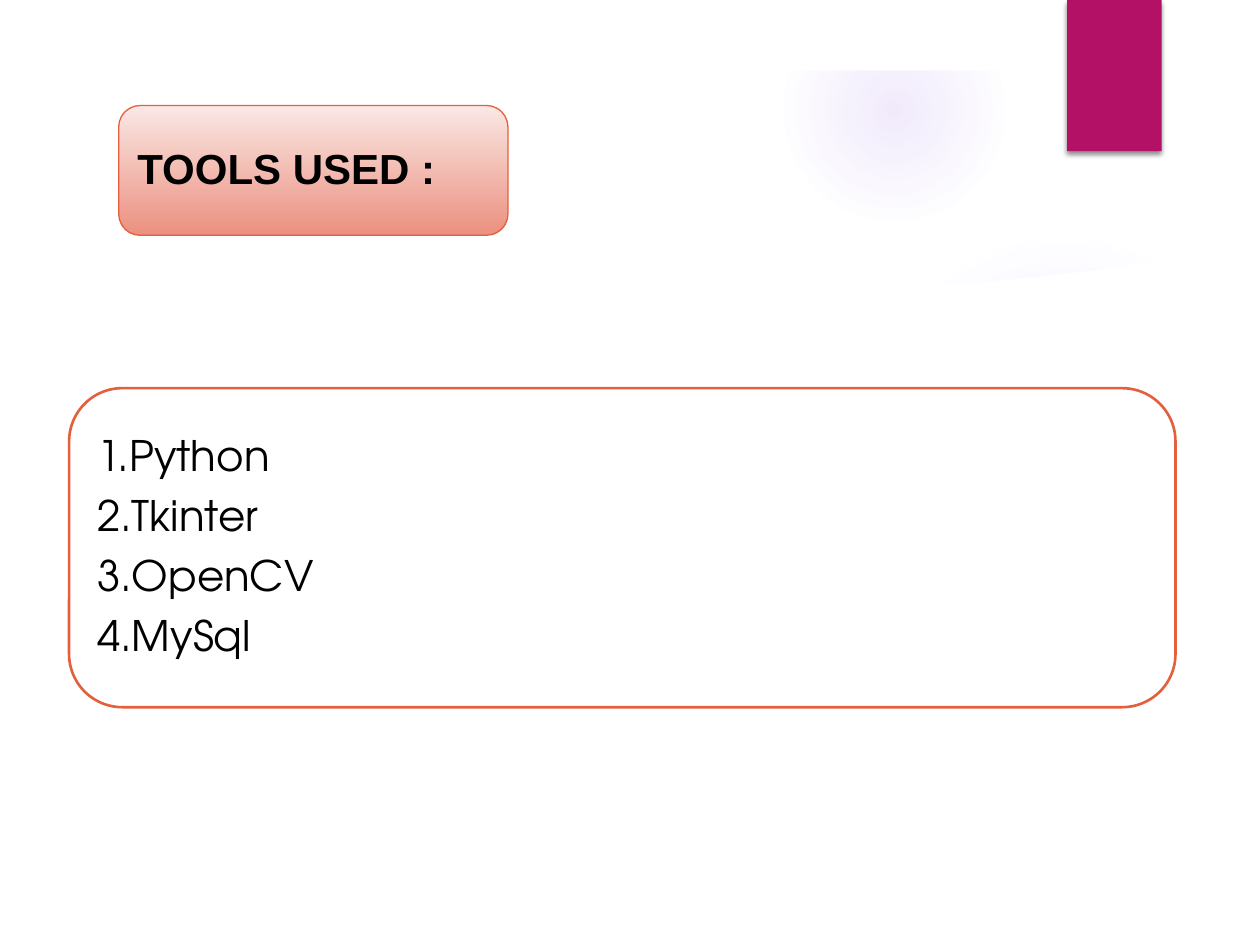
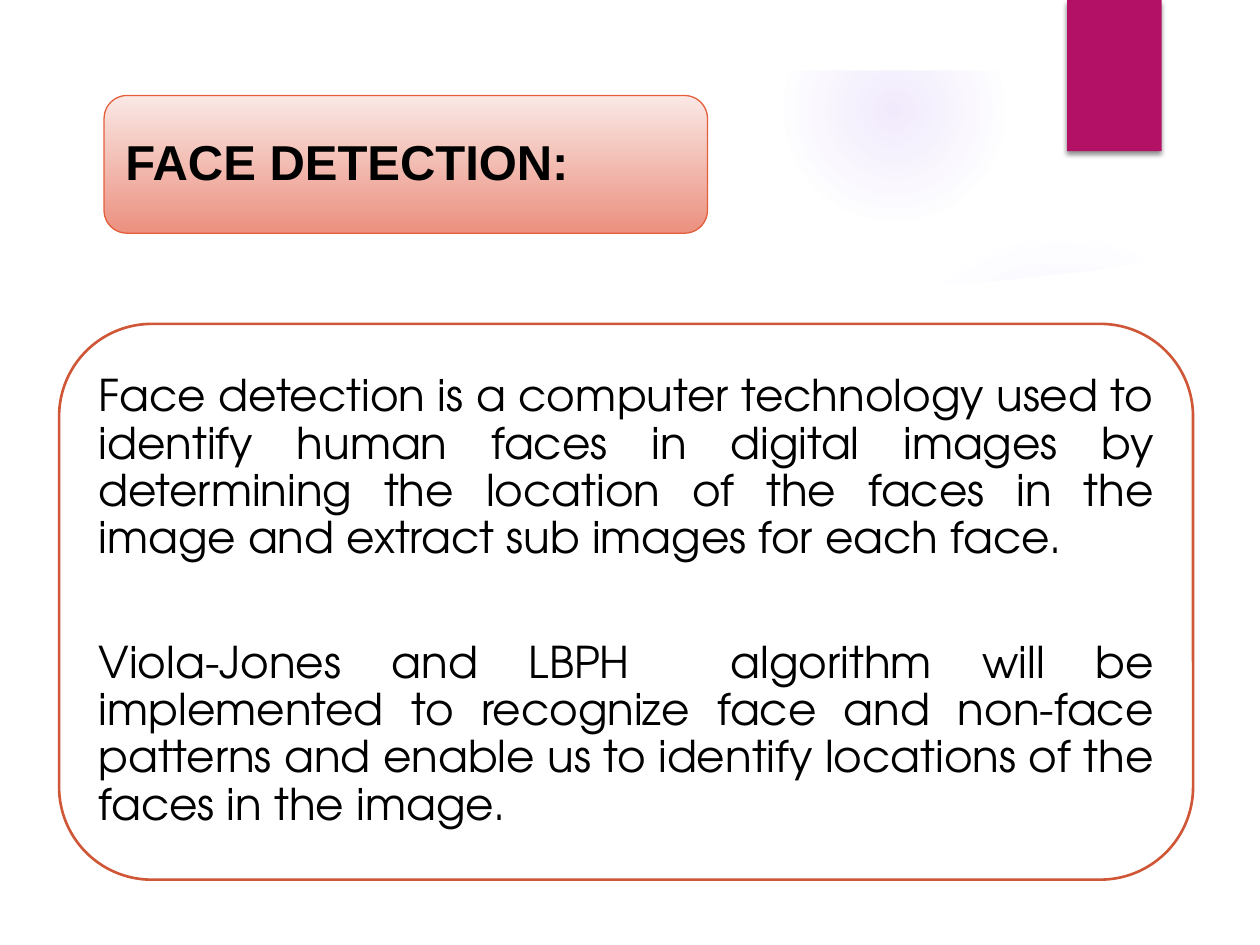
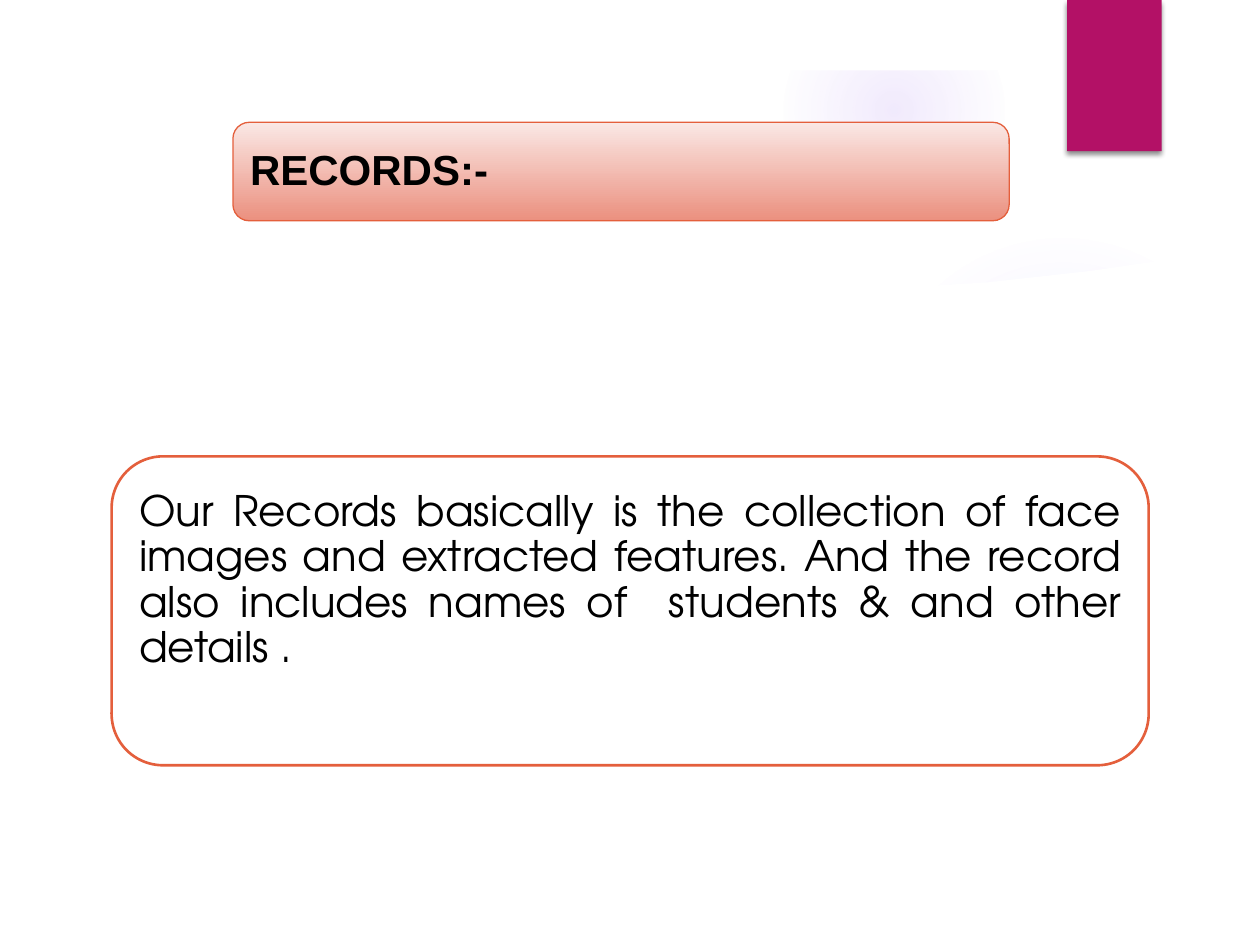
import pptx
import pptx.dml.color
import pptx.enum.shapes
import pptx.enum.text
import pptx.oxml
import pptx.oxml.ns
import pptx.util

Pt = pptx.util.Pt
SHAPE = pptx.enum.shapes.MSO_SHAPE
ALIGN = pptx.enum.text.PP_ALIGN
ANCHOR = pptx.enum.text.MSO_ANCHOR

# Content: boxes are left, top, width, height in points
SLIDES = [
    {
        "title": "TOOLS USED :",
        "title_box": (67.8, 60.3, 222.5, 74.2), "title_size": 24, "title_inset": 7.2,
        "body": ["1.Python", "2.Tkinter", "3.OpenCV", "4.MySql"],
        "body_box": (39.5, 221.8, 632.2, 182.3), "body_size": 24,
        "gap": 8.4, "bottom_inset": 7.2, "outline": "orange",
    },
    {
        "title": "FACE DETECTION:",
        "title_box": (59.5, 54.6, 344.8, 78.7), "title_size": 28, "title_inset": 8.4,
        "body": [
            "Face detection is a computer technology used to identify human faces "
            "in digital images by determining the location of the faces in the "
            "image and extract sub images for each face.",
            "Viola-Jones and LBPH  algorithm will be implemented to recognize face "
            "and non-face patterns and enable us to identify locations of the "
            "faces in the image.",
        ],
        "body_box": (33.8, 185.1, 648, 317.6), "body_size": 25,
        "gap": 44.4, "bottom_inset": 7.2, "outline": "rust",
    },
    {
        "title": "RECORDS:-",
        "title_box": (133.1, 69.9, 443.6, 56.3), "title_size": 24, "title_inset": 7.2,
        "body": [
            "Our Records basically is the collection of face images and extracted "
            "features. And the record also includes names of  students & and other "
            "details .",
        ],
        "body_box": (63.8, 260.8, 592.6, 176.5), "body_size": 24,
        "gap": 8.4, "bottom_inset": 41.5, "outline": "orange",
    },
]

# Shared look
COLORS = {
    "white": "FFFFFF", "black": "000000", "ribbon": "B31166", "glow": "9B6BF2",
    "orange": "E45F3C", "rust": "CF5636", "title_top": "FAE8E5", "title_end": "EB907F",
}
TITLE_FONT, BODY_FONT = "Arial", "TeX Gyre Adventor"
LINE_SPACING = 0.9
LAST_GAP = 8.4
WIDTH, HEIGHT = 720, 540
RIBBON = (609.8, 0, 54, 86.4)

# Glows: box, then stops as (position %, opacity %)
GLOWS = [
    ((496, 131.8, 221.8, 221.8), [(0, 7), (36, 6), (69, 0)]),
    ((447.8, 0, 126, 126), [(0, 14), (36, 7), (73, 0)]),
]
SHEEN = [(503.3, 168.5), (530, 168), (600, 161.5), (688.3, 149.8), (684.7, 125.3),
         (655.2, 134.6), (612, 144.7), (565.2, 155.5), (538, 160.5), (501.1, 164.9)]
SHEEN_TURN, SHEEN_OPACITY = -9.8, 20
PANEL = [(38.2, 146.2), (38.2, 503.3), (681.8, 503.3), (681.8, 146.2), (623.5, 154.8),
         (565.2, 161.3), (506.9, 164.9), (450, 167.8), (394.6, 168.5), (341.3, 168.5),
         (290.9, 167.8), (243.4, 165.6), (199.4, 162.7), (159.8, 159.8),
         (124.6, 156.2), (71.3, 150.5)]
FRAME_OUTER = [(0, 0), (0, HEIGHT), (WIDTH, HEIGHT), (WIDTH, 0)]
FRAME_INNER = [(680.4, 500.4), (40.3, 500.4), (40.3, 40.3), (680.4, 40.3)]


def rgb(name):
    return pptx.dml.color.RGBColor.from_string(COLORS[name])


def xml(text):
    """Element from text whose first tag has at least one attribute."""
    namespace = pptx.oxml.ns.nsdecls("a")
    return pptx.oxml.parse_xml(text.replace(" ", f" {namespace} ", 1))


def spot(shape, tag):
    """First descendant of the shape with this drawing tag."""
    return next(shape._element.iter(pptx.oxml.ns.qn(tag)))


def add_preset(slide, preset, box):
    shape = slide.shapes.add_shape(preset, *map(Pt, box))
    shape.shadow.inherit = False
    shape.line.fill.background()
    return shape


def add_outline(slide, *contours):
    """White freeform made of one or more closed contours."""
    builder = None
    for contour in contours:
        start, *rest = [(Pt(x), Pt(y)) for x, y in contour]
        if builder is None:
            builder = slide.shapes.build_freeform(*start, scale=1.0)
        else:
            builder.move_to(*start)
        builder.add_line_segments(rest, close=True)
    shape = builder.convert_to_shape()
    shape.shadow.inherit = False
    shape.line.fill.background()
    shape.fill.solid()
    shape.fill.fore_color.rgb = rgb("white")
    return shape


def add_glow(slide, box, stops):
    glow = add_preset(slide, SHAPE.OVAL, box)
    glow.fill.gradient()
    linear = spot(glow, "a:gradFill")
    stop_list = "".join(
        f'<a:gs pos="{pos * 1000}"><a:srgbClr val="{COLORS["glow"]}">'
        f'<a:alpha val="{opacity * 1000}"/></a:srgbClr></a:gs>'
        for pos, opacity in stops)
    radial = xml(
        f'<a:gradFill rotWithShape="1"><a:gsLst>{stop_list}</a:gsLst><a:path path="circle">'
        '<a:fillToRect l="50000" t="50000" r="50000" b="50000"/></a:path></a:gradFill>')
    linear.getparent().replace(linear, radial)


def add_backdrop(slide):
    for box, stops in GLOWS:
        add_glow(slide, box, stops)
    sheen = add_outline(slide, SHEEN)
    sheen.rotation = SHEEN_TURN
    spot(sheen, "a:srgbClr").append(xml(f'<a:alpha val="{SHEEN_OPACITY * 1000}"/>'))
    add_outline(slide, PANEL)
    add_outline(slide, FRAME_OUTER, FRAME_INNER)

    ribbon = add_preset(slide, SHAPE.RECTANGLE, RIBBON)
    ribbon.fill.solid()
    ribbon.fill.fore_color.rgb = rgb("ribbon")
    spot(ribbon, "a:effectLst").append(xml(
        f'<a:outerShdw blurRad="{Pt(3)}" dist="{Pt(2)}" dir="5400000" rotWithShape="0">'
        f'<a:srgbClr val="{COLORS["black"]}"><a:alpha val="45000"/></a:srgbClr>'
        '</a:outerShdw>'))


def add_card(slide, box, outline, weight):
    card = add_preset(slide, SHAPE.ROUNDED_RECTANGLE, box)
    card.line.color.rgb = rgb(outline)
    card.line.width = Pt(weight)
    return card


def write(card, lines, font, size, align, inset, gap=LAST_GAP, bold=False):
    frame = card.text_frame
    frame.word_wrap = True
    frame.vertical_anchor = ANCHOR.MIDDLE
    frame.margin_left = frame.margin_right = Pt(inset)
    frame.margin_top = frame.margin_bottom = Pt(inset)
    for index, line in enumerate(lines):
        paragraph = frame.paragraphs[0] if index == 0 else frame.add_paragraph()
        paragraph.text = line
        paragraph.alignment = align
        paragraph.line_spacing = LINE_SPACING
        paragraph.space_after = Pt(gap if index < len(lines) - 1 else LAST_GAP)
        paragraph.font.name = font
        paragraph.font.size = Pt(size)
        paragraph.font.bold = bold
        paragraph.font.color.rgb = rgb("black")


def add_title(slide, content):
    title = add_card(slide, content["title_box"], "orange", 0.75)
    title.fill.gradient()
    title.fill.gradient_angle = 270
    for stop, name in zip(title.fill.gradient_stops, ("title_top", "title_end")):
        stop.color.rgb = rgb(name)
    write(title, [content["title"]], TITLE_FONT, content["title_size"], ALIGN.LEFT,
          content["title_inset"], bold=True)


def add_body(slide, content):
    body = add_card(slide, content["body_box"], content["outline"], 1.5)
    body.fill.solid()
    body.fill.fore_color.rgb = rgb("white")
    write(body, content["body"], BODY_FONT, content["body_size"], ALIGN.JUSTIFY,
          7.2, content["gap"])
    body.text_frame.margin_bottom = Pt(content["bottom_inset"])


def main():
    deck = pptx.Presentation()
    deck.slide_width, deck.slide_height = Pt(WIDTH), Pt(HEIGHT)
    for content in SLIDES:
        slide = deck.slides.add_slide(deck.slide_layouts[6])
        add_backdrop(slide)
        add_body(slide, content)
        add_title(slide, content)
    deck.save("out.pptx")


if __name__ == "__main__":
    main()
